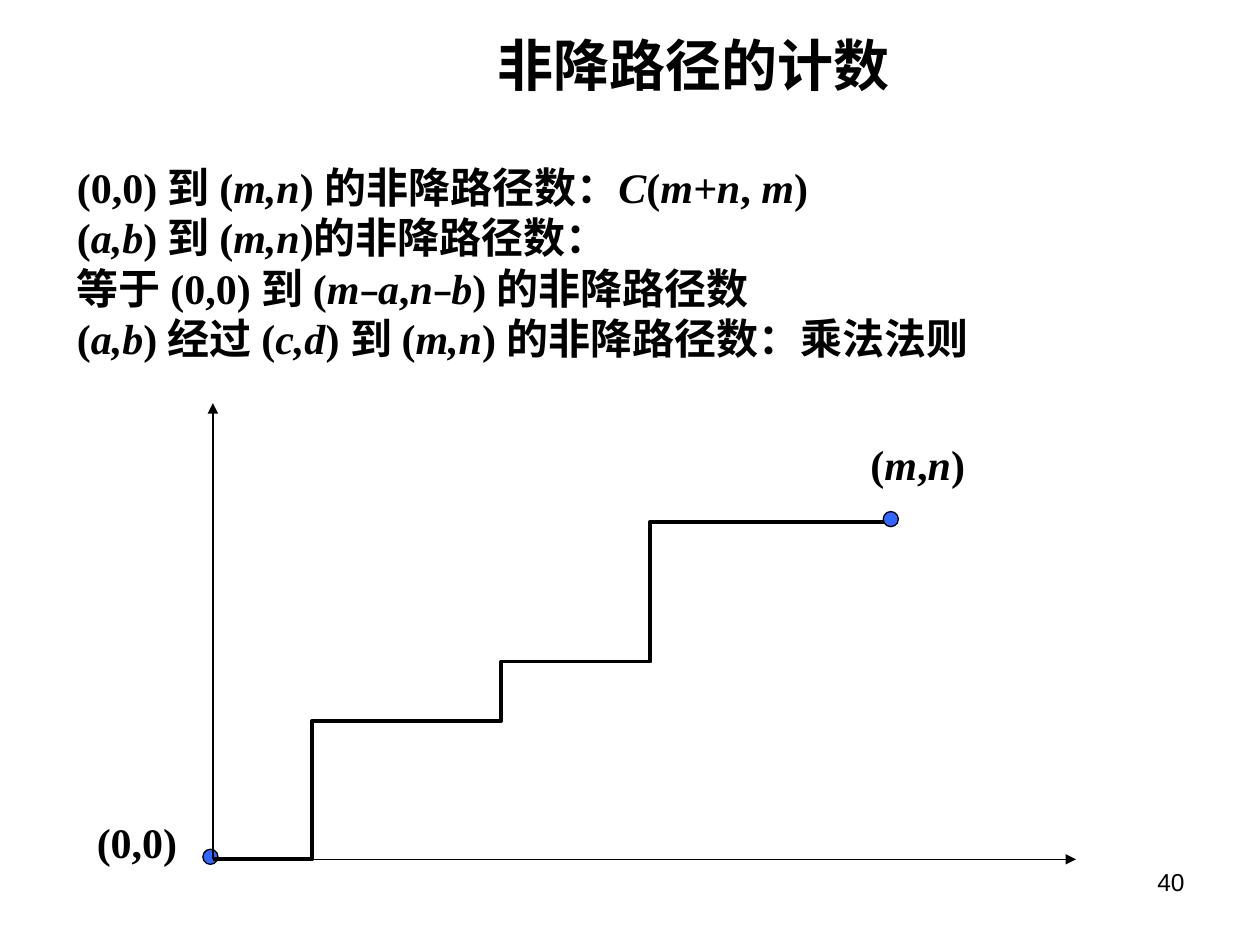
"""Build a slide on counting non-decreasing lattice paths."""
import itertools
from typing import Any, NamedTuple

import pptx
import pptx.dml.color
import pptx.enum.shapes
import pptx.enum.text
import pptx.oxml
import pptx.oxml.ns
import pptx.util
from pptx.util import Inches

BLACK = "000000"
BLUE = "3366FF"
SERIF = "Times New Roman"
SANS = "Arial"
MINUS = "−"
DOT_SIZE = 0.12
ORIGIN = (1.69, 6.82)


class Box(NamedTuple):
    left: float
    top: float
    width: float
    height: float

    def lengths(self) -> list[int]:
        return [Inches(value) for value in self]


class Label(NamedTuple):
    box: Box
    text: str


STATEMENTS = [
    "(0,0) 到 (*m,n*) 的非降路径数：*C*(*m+n*, *m*)",
    "(*a,b*) 到 (*m,n*)的非降路径数：",
    "等于 (0,0) 到 (*m−a*,*n−b*) 的非降路径数",
    "(*a,b*) 经过 (*c,d*) 到 (*m,n*) 的非降路径数：乘法法则",
]
AXIS_ENDS = [(8.54, 6.82), (1.69, 3.2)]
PATH_CORNERS = [(2.48, 6.82), (2.48, 5.72), (3.98, 5.72), (3.98, 5.25),
                (5.16, 5.25), (5.16, 4.14), (7.13, 4.14)]
DOTS = [(1.61, 6.74), (7.01, 4.06)]
LABELS = [
    Label(Box(6.81, 3.43, 0.95, 0.5), "(*m*,*n*)"),
    Label(Box(0.67, 6.43, 0.84, 0.5), "(0,0)"),
]


def color(value: str) -> pptx.dml.color.RGBColor:
    """Turn a hex string into a colour."""
    return pptx.dml.color.RGBColor.from_string(value)


def style_font(font: Any, name: str, size: float, bold: bool = True, italic: bool = False) -> None:
    """Set the typeface, size and weight of black text."""
    font.name = name
    font.size = pptx.util.Pt(size)
    font.bold = bold
    font.italic = italic
    font.color.rgb = color(BLACK)


def write_math(paragraph: Any, text: str) -> None:
    """Write text whose starred parts are italic and whose minus signs are small."""
    for index, part in enumerate(text.split("*")):
        for is_minus, characters in itertools.groupby(part, lambda character: character == MINUS):
            run = paragraph.add_run()
            run.text = "".join(characters)
            name, size = (SANS, 18) if is_minus else (SERIF, 24)
            style_font(run.font, name, size, italic=index % 2 == 1)


def place(shape: Any, box: Box) -> None:
    """Move and size a placeholder."""
    shape.left, shape.top, shape.width, shape.height = box.lengths()


def style_line(shape: Any, width: float) -> None:
    """Give a shape a black line."""
    shape.line.color.rgb = color(BLACK)
    shape.line.width = pptx.util.Pt(width)


def add_title(slide: Any) -> None:
    """Fill the title placeholder."""
    title = slide.shapes.title
    place(title, Box(2.16, 0.28, 6.69, 0.46))
    frame = title.text_frame
    frame.text = "非降路径的计数"
    frame.auto_size = pptx.enum.text.MSO_AUTO_SIZE.NONE
    frame.margin_left = frame.margin_right = frame.margin_top = frame.margin_bottom = 0
    frame.vertical_anchor = pptx.enum.text.MSO_ANCHOR.MIDDLE
    style_font(frame.paragraphs[0].runs[0].font, SANS, 32)


def add_statements(slide: Any) -> None:
    """Fill the body placeholder with unbulleted lines."""
    body = slide.placeholders[1]
    place(body, Box(0.51, 1.23, 8.5, 1.7))
    frame = body.text_frame
    frame.auto_size = pptx.enum.text.MSO_AUTO_SIZE.NONE
    frame.vertical_anchor = pptx.enum.text.MSO_ANCHOR.MIDDLE
    for index, statement in enumerate(STATEMENTS):
        paragraph = frame.add_paragraph() if index else frame.paragraphs[0]
        paragraph.space_before = pptx.util.Pt(0)
        properties = paragraph._p.get_or_add_pPr()
        properties.set("marL", "0")
        properties.set("indent", "0")
        properties.append(pptx.oxml.parse_xml(f"<a:buNone {pptx.oxml.ns.nsdecls('a')}/>"))
        write_math(paragraph, statement)


def add_dot(shapes: Any, corner: tuple[float, float]) -> None:
    """Draw an end point of the path."""
    box = Box(*corner, DOT_SIZE, DOT_SIZE)
    dot = shapes.add_shape(pptx.enum.shapes.MSO_SHAPE.OVAL, *box.lengths())
    dot.shadow.inherit = False
    dot.fill.solid()
    dot.fill.fore_color.rgb = color(BLUE)
    style_line(dot, 0.75)


def add_axis(shapes: Any, end: tuple[float, float]) -> None:
    """Draw an arrow from the origin."""
    points = [Inches(value) for value in ORIGIN + end]
    axis = shapes.add_connector(pptx.enum.shapes.MSO_CONNECTOR.STRAIGHT, *points)
    style_line(axis, 0.75)
    namespace = pptx.oxml.ns.nsdecls("a")
    axis.line._get_or_add_ln().append(
        pptx.oxml.parse_xml(f'<a:tailEnd {namespace} type="triangle"/>'))
    axis._element.spPr.append(pptx.oxml.parse_xml(f"<a:effectLst {namespace}/>"))


def add_path(shapes: Any) -> None:
    """Draw the staircase path."""
    start = [Inches(value) for value in ORIGIN]
    builder = shapes.build_freeform(*start)
    builder.add_line_segments([(Inches(x), Inches(y)) for x, y in PATH_CORNERS], close=False)
    staircase = builder.convert_to_shape()
    staircase.shadow.inherit = False
    staircase.fill.background()
    style_line(staircase, 2.25)


def add_label(shapes: Any, label: Label) -> None:
    """Write the coordinates of a point."""
    frame = shapes.add_textbox(*label.box.lengths()).text_frame
    frame.word_wrap = False
    frame.auto_size = pptx.enum.text.MSO_AUTO_SIZE.SHAPE_TO_FIT_TEXT
    write_math(frame.paragraphs[0], label.text)


def add_diagram(slide: Any) -> None:
    """Draw the axes, path, points and labels as one group."""
    shapes = slide.shapes.add_group_shape().shapes
    add_dot(shapes, DOTS[0])
    for end in AXIS_ENDS:
        add_axis(shapes, end)
    add_path(shapes)
    add_dot(shapes, DOTS[1])
    for label in LABELS:
        add_label(shapes, label)


def add_slide_number(slide: Any) -> None:
    """Write the slide number."""
    frame = slide.shapes.add_textbox(*Box(7.17, 6.83, 2.33, 0.52).lengths()).text_frame
    frame.word_wrap = True
    frame.text = "40"
    paragraph = frame.paragraphs[0]
    paragraph.alignment = pptx.enum.text.PP_ALIGN.RIGHT
    style_font(paragraph.runs[0].font, SANS, 14, bold=False)


def main() -> None:
    """Build and save the presentation."""
    presentation = pptx.Presentation()
    presentation.slide_width = Inches(10)
    presentation.slide_height = Inches(7.5)
    slide = presentation.slides.add_slide(presentation.slide_layouts[1])
    add_title(slide)
    add_statements(slide)
    add_diagram(slide)
    add_slide_number(slide)
    presentation.save("out.pptx")


if __name__ == "__main__":
    main()
